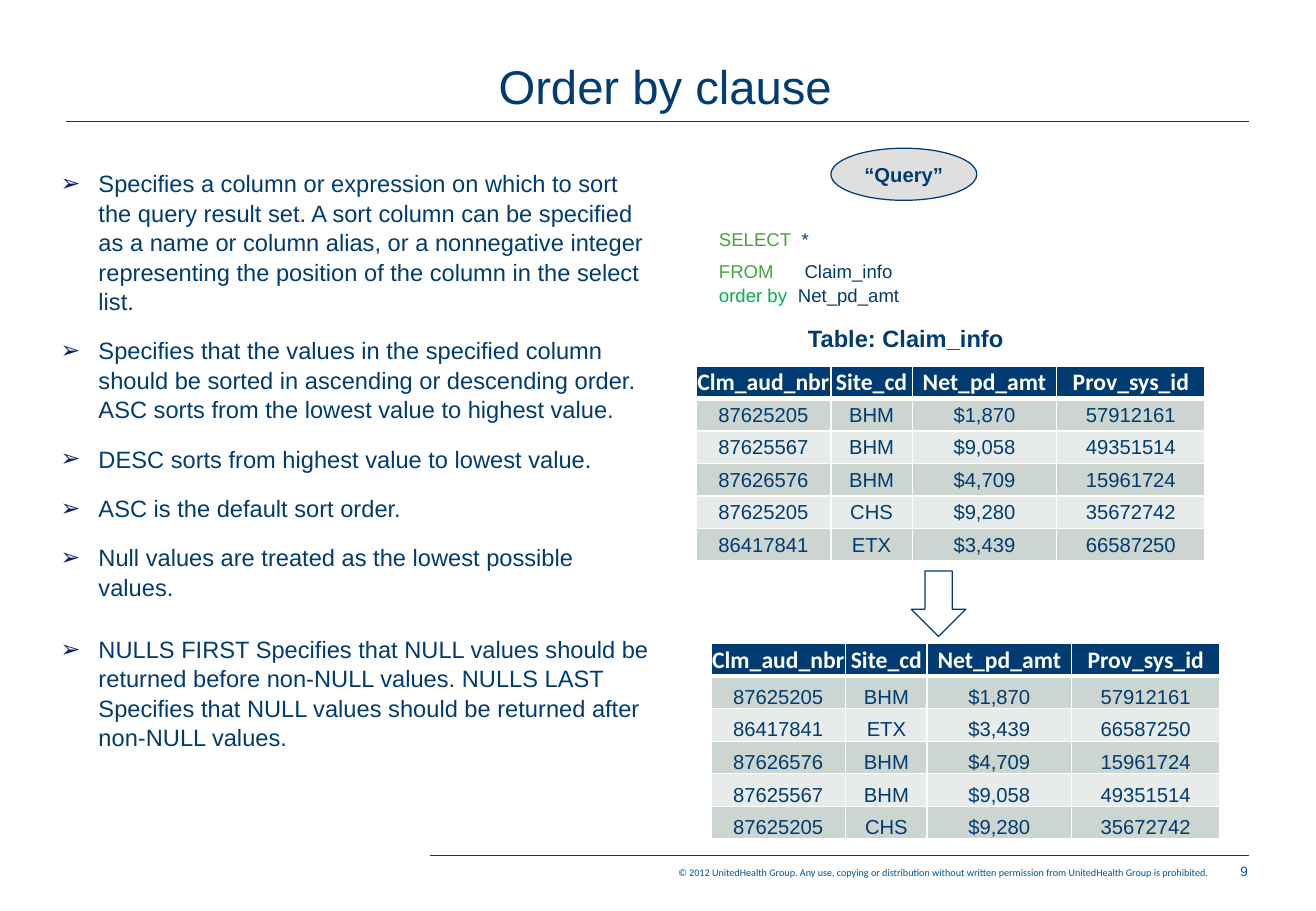
from lxml.etree import SubElement
from pptx import Presentation
from pptx.dml.color import RGBColor
from pptx.enum.shapes import MSO_CONNECTOR, MSO_SHAPE
from pptx.enum.text import MSO_ANCHOR, PP_ALIGN
from pptx.oxml.ns import qn
from pptx.util import Cm, Pt

NAVY = RGBColor(0x00, 0x3C, 0x71)
BLUE = RGBColor(0x00, 0x54, 0x92)
MARKER = RGBColor(0x0B, 0x1F, 0x65)
LEAF = RGBColor(0x48, 0xA2, 0x3F)
GREEN = RGBColor(0x00, 0xB0, 0x50)
SILVER = RGBColor(0xC0, 0xC0, 0xC0)
WHITE = RGBColor(0xFF, 0xFF, 0xFF)
DARK_BAND = RGBColor(0xCC, 0xD5, 0xCF)
LIGHT_BAND = RGBColor(0xE7, 0xEB, 0xE9)

POINTS = [
    ("Specifies a column or expression on which to sort the query result set. "
     "A sort column can be specified as a name or column alias, or a nonnegative "
     "integer representing the position of the column in the select list.", 0),
    ("Specifies that the values in the specified column should be sorted in "
     "ascending or descending order. ASC sorts from the lowest value to highest "
     "value.", 11.8),
    ("DESC sorts from highest value to lowest value.", 11.8),
    ("ASC is the default sort order.", 11.8),
    ("Null values are treated as the lowest possible values.", 11.8),
    ("NULLS FIRST Specifies that NULL values should be returned before non-NULL "
     "values. NULLS LAST Specifies that NULL values should be returned after "
     "non-NULL values.", 19.3),
]
QUERY = [
    ("SELECT", "*", LEAF, 1.73, 0),
    ("FROM", "Claim_info", LEAF, 1.79, 5.5),
    ("order by", "Net_pd_amt", GREEN, 1.65, 1),
]
HEADER = ("Clm_aud_nbr", "Site_cd", "Net_pd_amt", "Prov_sys_id")
CLAIMS = [
    ("87625205", "BHM", "$1,870", "57912161"),
    ("87625567", "BHM", "$9,058", "49351514"),
    ("87626576", "BHM", "$4,709", "15961724"),
    ("87625205", "CHS", "$9,280", "35672742"),
    ("86417841", "ETX", "$3,439", "66587250"),
]
COLUMN_WIDTHS = (2.82, 1.7, 3.02, 3.1)
ROW_HEIGHT = 0.68
COPYRIGHT = ("© 2012 UnitedHealth Group. Any use, copying or distribution without "
             "written permission from UnitedHealth Group is prohibited.")


def style_font(font, size, color, name="Arial", bold=False):
    """Set the look of a paragraph or run font."""
    font.size, font.name, font.bold = Pt(size), name, bold
    font.color.rgb = color


def add_box(page, left, top, width, height):
    """Add an empty wrapping text box and return it."""
    box = page.shapes.add_textbox(Cm(left), Cm(top), Cm(width), Cm(height))
    box.text_frame.word_wrap = True
    return box


def add_label(page, place, text, size, color=NAVY, name="Arial", bold=False,
              align=PP_ALIGN.CENTER):
    """Add a one-line text box and return its frame."""
    frame = add_box(page, *place).text_frame
    frame.text = text
    para = frame.paragraphs[0]
    para.alignment = align
    style_font(para.runs[0].font, size, color, name, bold)
    return frame


def add_rule(page, left, right, top):
    """Add a thin horizontal line without shadow."""
    rule = page.shapes.add_connector(
        MSO_CONNECTOR.STRAIGHT, Cm(left), Cm(top), Cm(right), Cm(top))
    rule.line.color.rgb = NAVY
    rule.line.width = Pt(0.5)
    SubElement(rule._element.spPr, qn("a:effectLst"))


def add_outlined_shape(page, kind, left, top, width, height):
    """Add an unfilled preset shape with a navy outline."""
    shape = page.shapes.add_shape(kind, Cm(left), Cm(top), Cm(width), Cm(height))
    shape.shadow.inherit = False
    shape.fill.background()
    shape.line.color.rgb = NAVY
    shape.line.width = Pt(0.75)
    return shape


def add_query_badge(page):
    """Add the half-transparent ellipse that names the query."""
    badge = add_outlined_shape(page, MSO_SHAPE.OVAL, 17.37, 3.1, 3.05, 1.09)
    badge.fill.solid()
    badge.fill.fore_color.rgb = SILVER
    tint = badge._element.spPr.find(qn("a:solidFill"))[0]
    SubElement(tint, qn("a:alpha"), val="50000")
    frame = badge.text_frame
    frame.word_wrap = False
    frame.vertical_anchor = MSO_ANCHOR.MIDDLE
    frame.text = "“Query”"
    para = frame.paragraphs[0]
    para.alignment = PP_ALIGN.CENTER
    style_font(para.runs[0].font, 12, NAVY, bold=True)


def next_paragraph(frame, index):
    """Return the first paragraph, or a new one after it."""
    return frame.add_paragraph() if index else frame.paragraphs[0]


def add_points(page):
    """Add the bulleted explanation."""
    frame = add_box(page, 1.02, 3.39, 12.9, 11.68).text_frame
    for index, (text, gap) in enumerate(POINTS):
        para = next_paragraph(frame, index)
        para.text = text
        props = para._p.get_or_add_pPr()
        props.set("marL", str(Cm(0.79)))
        props.set("indent", str(-Cm(0.79)))
        color = SubElement(props, qn("a:buClr"))
        SubElement(color, qn("a:srgbClr"), val=str(MARKER))
        SubElement(props, qn("a:buFont"), typeface="Arial")
        SubElement(props, qn("a:buChar"), char="➢")
        para.line_spacing = 1.04
        para.space_before = Pt(gap)
        style_font(para.runs[0].font, 14, NAVY)


def add_query(page):
    """Add the query with its keywords coloured."""
    frame = add_box(page, 14.78, 4.65, 8.53, 1.9).text_frame
    for index, (keyword, value, color, stop, gap) in enumerate(QUERY):
        para = next_paragraph(frame, index)
        tabs = SubElement(para._p.get_or_add_pPr(), qn("a:tabLst"))
        SubElement(tabs, qn("a:tab"), pos=str(Cm(stop)), algn="l")
        para.space_before = Pt(gap)
        for text, tone in ((keyword + "\t", color), (value, NAVY)):
            span = para.add_run()
            span.text = text
            style_font(span.font, 11, tone)


def set_borders(cell, bottom):
    """Draw white borders around a cell."""
    props = cell._tc.get_or_add_tcPr()
    for side, width in (("L", 1), ("R", 1), ("T", 1), ("B", bottom)):
        line = SubElement(props, qn("a:ln" + side), w=str(Pt(width)))
        fill = SubElement(line, qn("a:solidFill"))
        SubElement(fill, qn("a:srgbClr"), val=str(WHITE))


def fill_cell(cell, text, row, anchor):
    """Write and style one cell of a claim table."""
    set_borders(cell, 1 if row else 3)
    cell.fill.solid()
    cell.fill.fore_color.rgb = (DARK_BAND if row % 2 else LIGHT_BAND) if row else NAVY
    cell.margin_left = cell.margin_right = cell.margin_top = Cm(0.02)
    cell.margin_bottom = 0
    cell.vertical_anchor = anchor if row else MSO_ANCHOR.MIDDLE
    cell.text_frame.text = text
    para = cell.text_frame.paragraphs[0]
    para.alignment = PP_ALIGN.CENTER
    look = (12, NAVY) if row else (14, WHITE, "Calibri", True)
    style_font(para.runs[0].font, *look)


def add_claim_table(page, left, top, claims, anchor):
    """Add a table of claims under the common header."""
    rows = [HEADER, *claims]
    table = page.shapes.add_table(
        len(rows), len(HEADER), Cm(left), Cm(top),
        Cm(sum(COLUMN_WIDTHS)), Cm(ROW_HEIGHT * len(rows))).table
    table.horz_banding = False
    for column, width in zip(table.columns, COLUMN_WIDTHS):
        column.width = Cm(width)
    for row, values in enumerate(rows):
        table.rows[row].height = Cm(ROW_HEIGHT)
        for column, text in enumerate(values):
            fill_cell(table.cell(row, column), text, row, anchor)


def main():
    """Build the slide and save it."""
    deck = Presentation()
    deck.slide_width, deck.slide_height = Cm(27.51), Cm(19.05)
    page = deck.slides.add_slide(deck.slide_layouts[6])
    add_rule(page, 1.37, 26.11, 2.54)
    add_rule(page, 8.99, 26.11, 17.88)
    footer = add_label(page, (9.12, 18.11, 16.13, 0.25), COPYRIGHT, 6, BLUE,
                       "Calibri", align=PP_ALIGN.RIGHT)
    footer.margin_left = footer.margin_right = 0
    footer.margin_top = footer.margin_bottom = 0
    add_label(page, (25.45, 17.93, 1.12, 0.61), "9", 8, BLUE)
    title = add_label(page, (1.42, 0.58, 24.97, 1.93), "Order by clause", 28)
    title.vertical_anchor = MSO_ANCHOR.BOTTOM
    add_points(page)
    add_query_badge(page)
    add_query(page)
    add_label(page, (16.56, 6.65, 4.75, 0.86), "Table: Claim_info", 14, bold=True)
    add_claim_table(page, 14.55, 7.65, CLAIMS, MSO_ANCHOR.MIDDLE)
    add_outlined_shape(page, MSO_SHAPE.DOWN_ARROW, 19.05, 11.94, 1.14, 1.37)
    by_amount = sorted(CLAIMS, key=lambda claim: claim[2])
    add_claim_table(page, 14.86, 13.46, by_amount, MSO_ANCHOR.BOTTOM)
    deck.save("out.pptx")


if __name__ == "__main__":
    main()
